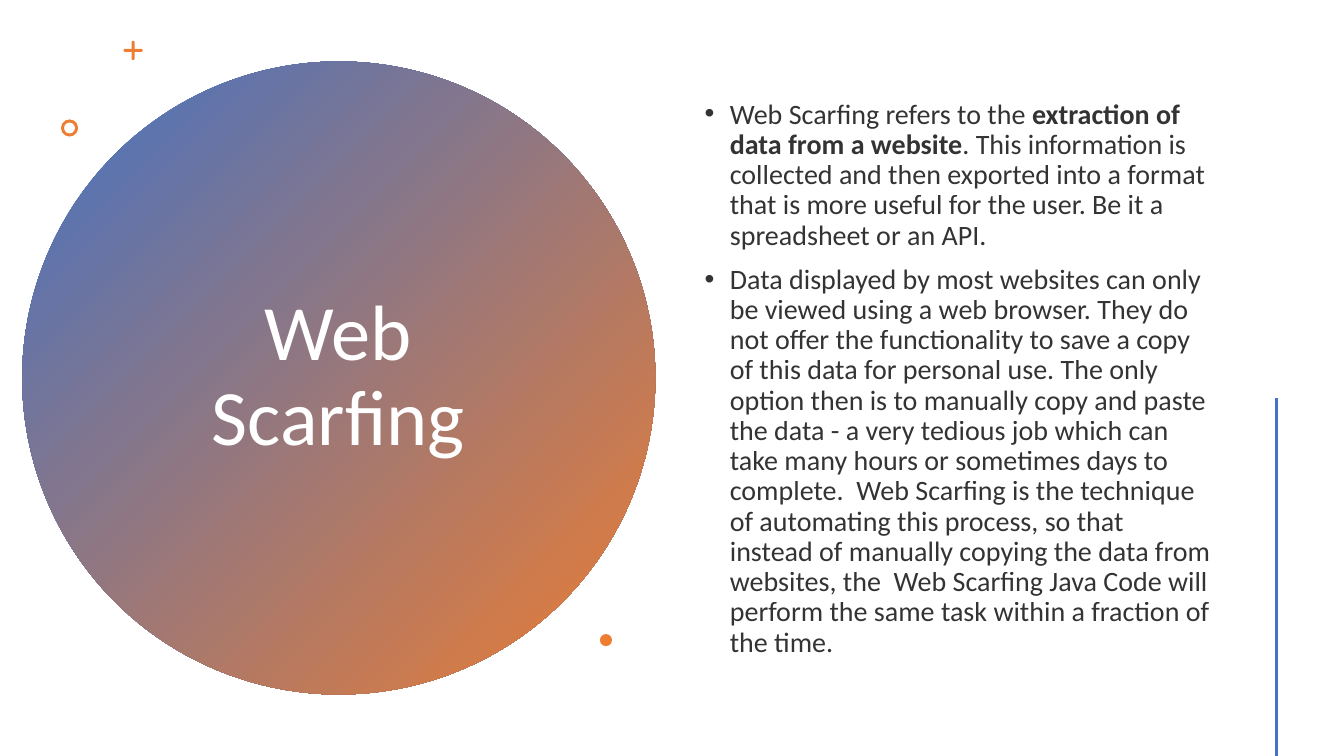
from lxml import etree
from pptx import Presentation
from pptx import util as u
from pptx.dml.color import RGBColor
from pptx.enum import shapes, text
from pptx.oxml.ns import qn

TITLE = "Web Scarfing"
# Each point is a list of (wording, bold) pieces.
POINTS = [
    [("Web Scarfing refers to the\u00a0", False),
     ("extraction of data from a website", True),
     (". This information is collected and then exported into a format that is "
      "more useful for the user. Be it a spreadsheet or an API.", False)],
    [("Data displayed by most websites can only be viewed using a web browser. "
      "They do not offer the functionality to save a copy of this data for "
      "personal use. The only option then is to manually copy and paste the "
      "data - a very tedious job which can take many hours or sometimes days to "
      "complete.\u00a0 Web Scarfing is the technique of automating this process, "
      "so that instead of manually copying the data from websites, the\u00a0 Web "
      "Scarfing Java Code will perform the same task within a fraction of the "
      "time.", False)],
]
THEME = {
    "font": "Calibri", "title_size": 56, "body_size": 20,
    "blue": "4472C4", "orange": "ED7D31", "white": "FFFFFF",
    "ink": "000000", "ink_alpha": 80, "rule_width": 2.25,
    "line_spacing": 0.9, "point_gap": 10, "indent": 0.25,
}
WIDTH, HEIGHT = 13.33, 7.5
DISC = (3.36, 3.75, 6.28)       # centre x, centre y, diameter
PLUS = (1.32, 0.5, 0.19)
RING = (0.69, 1.27, 0.17)
DOT = (6.01, 6.35, 0.12)
STROKE = 0.03                   # thickness of the plus and the ring
TITLE_BOX = (1.36, 1.41, 3.99, 4.67)
BODY_BOX = (6.89, 0.57, 5.22, 6.38)
RULE_X, RULE_TOP = WIDTH * 0.95, 3.95

Preset = shapes.MSO_SHAPE


def color(name):
    """Return a theme colour."""
    return RGBColor.from_string(THEME[name])


def add_centred(slide, preset, x, y, width, height):
    """Add an orange preset shape around a centre point."""
    mark = slide.shapes.add_shape(
        preset, *map(u.Inches, (x - width / 2, y - height / 2, width, height)))
    mark.shadow.inherit = False
    mark.line.fill.background()
    mark.fill.solid()
    mark.fill.fore_color.rgb = color("orange")
    return mark


def add_disc(slide):
    """Add the large disc, shaded from blue at top left to orange."""
    x, y, size = DISC
    disc = add_centred(slide, Preset.OVAL, x, y, size, size)
    disc.fill.gradient()
    disc.fill.gradient_angle = 315
    for stop, name in zip(disc.fill.gradient_stops, ("blue", "orange")):
        stop.color.rgb = color(name)


def add_marks(slide):
    """Add the plus, ring and dot around the disc."""
    x, y, size = PLUS
    for width, height in ((size, STROKE), (STROKE, size)):
        bar = add_centred(slide, Preset.ROUNDED_RECTANGLE, x, y, width, height)
        bar.adjustments[0] = 0.5
    x, y, size = RING
    ring = add_centred(slide, Preset.DONUT, x, y, size, size)
    ring.adjustments[0] = STROKE / size
    x, y, size = DOT
    add_centred(slide, Preset.OVAL, x, y, size, size)


def add_frame(slide, box):
    """Add a wrapped, vertically centred text box and return its frame."""
    frame = slide.shapes.add_textbox(*map(u.Inches, box)).text_frame
    frame.word_wrap = True
    frame.vertical_anchor = text.MSO_ANCHOR.MIDDLE
    return frame


def style(run, size, ink, bold=False):
    """Set the font of a run."""
    run.font.name = THEME["font"]
    run.font.size = u.Pt(THEME[size])
    run.font.bold = bold
    run.font.color.rgb = color(ink)


def add_title(slide):
    """Add the heading on the disc."""
    frame = add_frame(slide, TITLE_BOX)
    frame.text = TITLE
    heading = frame.paragraphs[0]
    heading.alignment = text.PP_ALIGN.CENTER
    heading.line_spacing = THEME["line_spacing"]
    style(heading.runs[0], "title_size", "white")


def add_bullet(point):
    """Give a paragraph a hanging bullet."""
    props = point._p.get_or_add_pPr()
    indent = u.Inches(THEME["indent"])
    props.set("marL", str(indent))
    props.set("indent", str(-indent))
    etree.SubElement(props, qn("a:buFont")).set("typeface", "Arial")
    etree.SubElement(props, qn("a:buChar")).set("char", "\u2022")


def add_points(slide):
    """Add the bulleted explanation."""
    frame = add_frame(slide, BODY_BOX)
    for index, pieces in enumerate(POINTS):
        point = frame.add_paragraph() if index else frame.paragraphs[0]
        point.line_spacing = THEME["line_spacing"]
        point.space_before = u.Pt(THEME["point_gap"])
        add_bullet(point)
        for wording, bold in pieces:
            run = point.add_run()
            run.text = wording
            style(run, "body_size", "ink", bold)
            ink = run._r.find(".//" + qn("a:srgbClr"))
            etree.SubElement(ink, qn("a:alpha")).set(
                "val", str(THEME["ink_alpha"] * 1000))


def add_rule(slide):
    """Add the vertical line that runs to the bottom edge."""
    rule = slide.shapes.add_connector(
        shapes.MSO_CONNECTOR.STRAIGHT,
        *map(u.Inches, (RULE_X, RULE_TOP, RULE_X, HEIGHT)))
    rule.line.color.rgb = color("blue")
    rule.line.width = u.Pt(THEME["rule_width"])
    etree.SubElement(rule._element.spPr, qn("a:effectLst"))


def main():
    """Build and save the slide."""
    deck = Presentation()
    deck.slide_width, deck.slide_height = u.Inches(WIDTH), u.Inches(HEIGHT)
    slide = deck.slides.add_slide(deck.slide_layouts[6])
    for add_part in (add_disc, add_title, add_marks, add_points, add_rule):
        add_part(slide)
    deck.save("out.pptx")


main()
